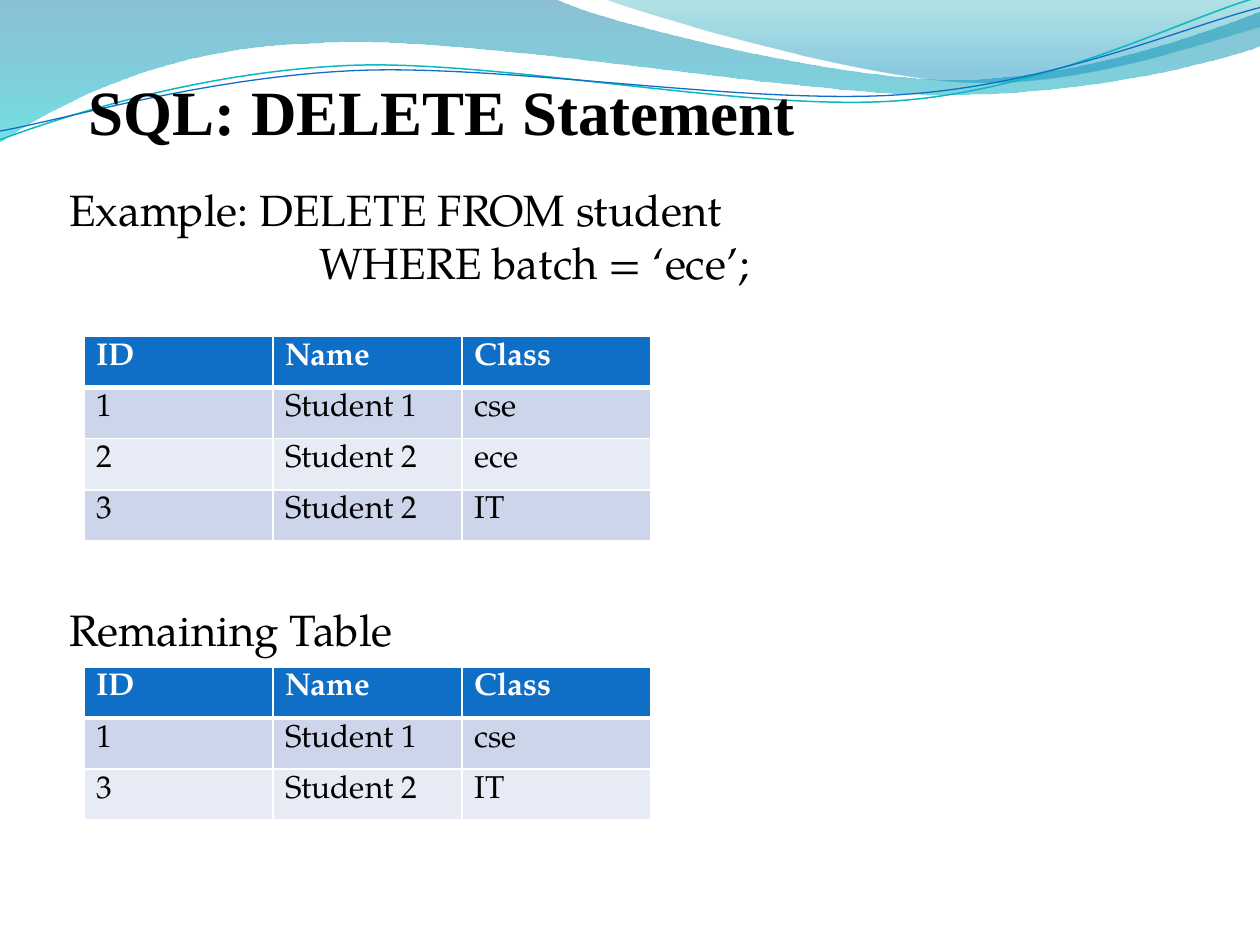
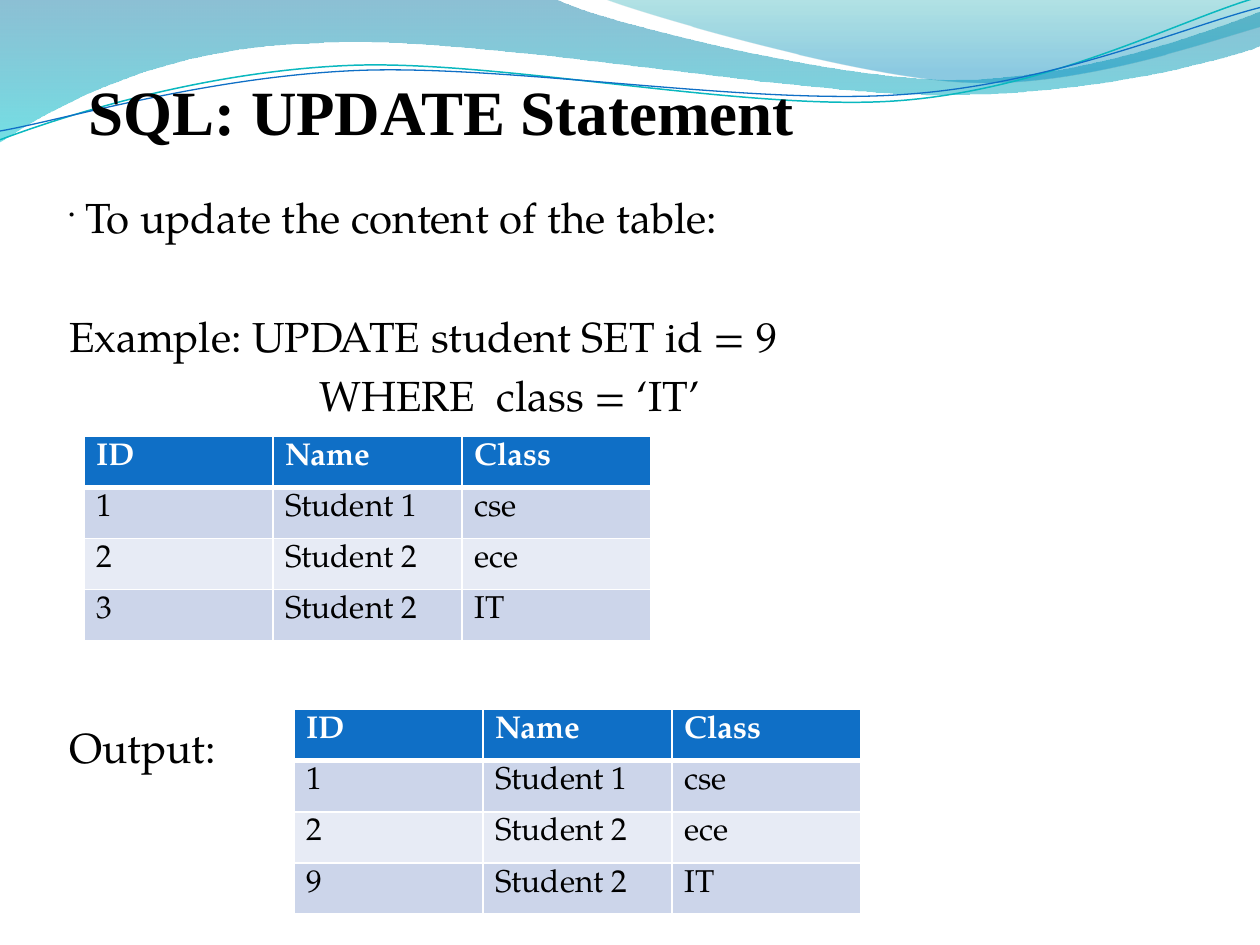
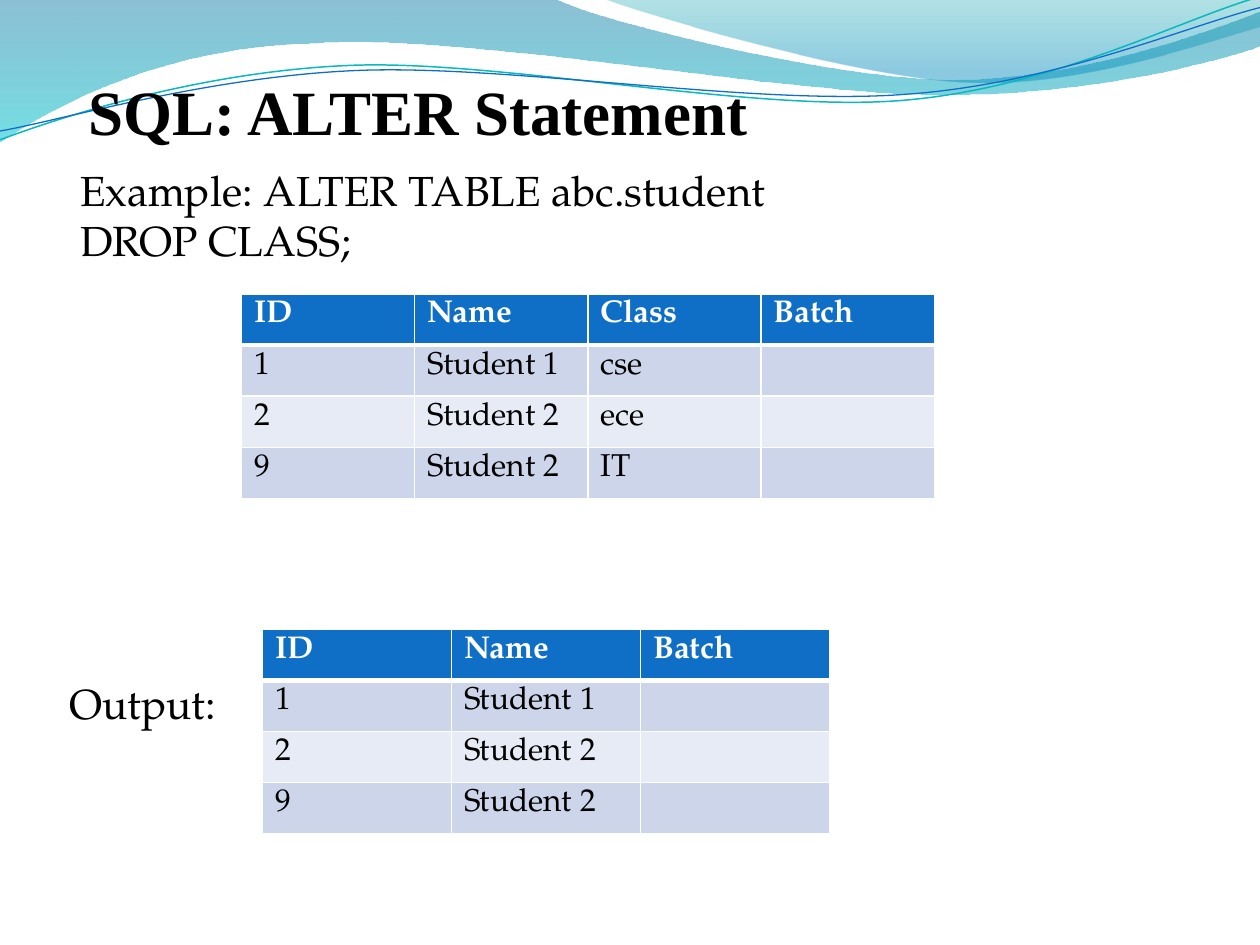
import pptx
import pptx.dml.color
import pptx.enum.text
import pptx.oxml
import pptx.oxml.ns
import pptx.util

Pt = pptx.util.Pt
qn = pptx.oxml.ns.qn
NS = pptx.oxml.ns.nsdecls("a")

COLORS = {
    "text": "000000", "white": "FFFFFF", "header": "0F6FC6",
    "odd": "CCD5EA", "even": "E7EBF5", "teal_line": "0AB8BF",
    "deep_blue": "0074A1", "cyan": "00C6CF", "teal": "00A1A9", "blue": "008BBF",
}
TITLE_FONT, BODY_FONT = "Times New Roman", "TeX Gyre Pagella"
ROW_HEIGHT = 29.2
CODE_INDENT = 143

# Wave outlines in inches: a two-value step is a line, a six-value step a Bézier curve.
LEFT_WAVE = [(0, 0), (4.4, -0.01), (4.76, 0.17, 6.64, 0.63, 7.58, 0.63),
             (8.53, 0.63, 9.58, 0.26, 10, 0.09), (10.01, 0.36),
             (9.83, 0.44, 8.7, 0.76, 7.46, 0.75), (6.22, 0.75, 3.82, 0.28, 2.57, 0.34),
             (1.29, 0.36, 0.46, 0.83, -0.01, 1.13)]
RIGHT_WAVE = [(4.79, -0.01), (5.09, 0.11, 6.82, 0.62, 7.69, 0.65),
              (8.56, 0.69, 9.61, 0.32, 10, 0.21), (10, 0)]
TEAL_CURVE = [(0, 1.11), (0.48, 0.93, 1.58, 0.57, 2.77, 0.52),
              (3.95, 0.47, 5.93, 0.89, 7.13, 0.8), (8.33, 0.71, 9.38, 0.15, 9.98, -0.02)]
BLUE_CURVE = [(0, 1.04), (0.47, 0.96, 1.64, 0.61, 2.83, 0.56),
              (4.03, 0.51, 5.97, 0.84, 7.17, 0.75), (8.36, 0.67, 9.41, 0.21, 10, 0.06)]


def rgb(name):
    return pptx.dml.color.RGBColor.from_string(COLORS[name])


class Deck:
    def __init__(self):
        self.prs = pptx.Presentation()
        self.prs.slide_width, self.prs.slide_height = Pt(720), Pt(540)
        self.layout = self.prs.slide_layouts[5]
        self.s = None

    def slide(self, title, width=479.5, height=52):
        self.s = self.prs.slides.add_slide(self.layout)
        sp = self.s.shapes.title
        sp.left, sp.top, sp.width, sp.height = Pt(44), Pt(31), Pt(width), Pt(height)
        p = self.frame(sp).paragraphs[0]
        p.alignment = pptx.enum.text.PP_ALIGN.LEFT
        p.line_spacing = 1.17
        self.run(p, title, 36, font=TITLE_FONT, bold=True)

    def frame(self, sp):
        tf = sp.text_frame
        tf.word_wrap = True
        tf.auto_size = pptx.enum.text.MSO_AUTO_SIZE.NONE
        tf.vertical_anchor = pptx.enum.text.MSO_ANCHOR.TOP
        tf.margin_left = tf.margin_right = Pt(6.5)
        tf.margin_top = tf.margin_bottom = Pt(3.2)
        return tf

    def run(self, p, text, size, color="text", font=BODY_FONT, bold=False):
        r = p.add_run()
        r.text = text
        r.font.name, r.font.size, r.font.bold = font, Pt(size), bold
        r.font.color.rgb = rgb(color)

    def body(self, y, w, h, lines, size=24, spacing=1.0):
        """Each line is (text, left indent, space before, bulleted)."""
        tf = self.frame(self.s.shapes.add_textbox(Pt(33), Pt(y), Pt(w), Pt(h)))
        for i, (text, indent, before, bulleted) in enumerate(lines):
            p = tf.add_paragraph() if i else tf.paragraphs[0]
            pPr = p._p.get_or_add_pPr()
            pPr.set("marL", str(Pt(indent)))
            if bulleted:
                pPr.set("indent", str(-Pt(indent)))
                pPr.append(pptx.oxml.parse_xml(f'<a:buSzPct {NS} val="37000"/>'))
                pPr.append(pptx.oxml.parse_xml(f'<a:buChar {NS} char="•"/>'))
            p.line_spacing = spacing
            if before:
                p.space_before = Pt(before)
            self.run(p, text, size)

    def table(self, x, y, rows, col_width=108):
        n_rows, n_cols = len(rows), len(rows[0])
        tbl = self.s.shapes.add_table(n_rows, n_cols, Pt(x), Pt(y), Pt(col_width * n_cols),
                                      Pt(ROW_HEIGHT * n_rows)).table
        for col in tbl.columns:
            col.width = Pt(col_width)
        for i, row in enumerate(rows):
            tbl.rows[i].height = Pt(ROW_HEIGHT)
            fill = "header" if i == 0 else "odd" if i % 2 else "even"
            for j, value in enumerate(row):
                cell = tbl.cell(i, j)
                cell.fill.solid()
                cell.fill.fore_color.rgb = rgb(fill)
                self.borders(cell, top=3 if i == 1 else 1, bottom=1 if i else 3)
                if value:
                    self.run(cell.text_frame.paragraphs[0], value, 18,
                             "text" if i else "white", bold=i == 0)

    def borders(self, cell, top, bottom):
        tcPr = cell._tc.get_or_add_tcPr()
        for i, (side, width) in enumerate(zip("LRTB", (1, 1, top, bottom))):
            tcPr.insert(i, pptx.oxml.parse_xml(
                f'<a:ln{side} {NS} w="{Pt(width)}"><a:solidFill>'
                f'<a:srgbClr val="{COLORS["white"]}"/></a:solidFill></a:ln{side}>'))

    def outline(self, steps, close):
        """Build a freeform through all points, then join the curve steps into Béziers."""
        pts = [(Pt(step[i] * 72), Pt(step[i + 1] * 72))
               for step in steps for i in range(0, len(step), 2)]
        fb = self.s.shapes.build_freeform(*pts[0])
        fb.add_line_segments(pts[1:], close=close)
        sp = fb.convert_to_shape()
        sp.shadow.inherit = False
        segments = iter(list(sp.element.iter(qn("a:lnTo"))))
        for step in steps[1:]:
            segment = next(segments)
            if len(step) == 6:
                bezier = pptx.oxml.parse_xml(f"<a:cubicBezTo {NS}/>")
                segment.addprevious(bezier)
                for part in (segment, next(segments), next(segments)):
                    bezier.append(part[0])
                    part.getparent().remove(part)
        return sp

    def wave(self, steps, stops):
        """Each stop is (position, colour, opacity in percent)."""
        sp = self.outline(steps, True)
        sp.line.fill.background()
        sp.fill.gradient()
        sp.fill.gradient_angle = 270
        for stop, (position, color, _) in zip(sp.fill.gradient_stops, stops):
            stop.position = position
            stop.color.rgb = rgb(color)
        for clr, (_, _, opacity) in zip(sp.element.spPr.iter(qn("a:srgbClr")), stops):
            clr.append(pptx.oxml.parse_xml(f'<a:alpha {NS} val="{opacity * 1000}"/>'))
        return sp

    def curve(self, steps, color, width):
        sp = self.outline(steps, False)
        sp.fill.background()
        sp.line.color.rgb = rgb(color)
        sp.line.width = Pt(width)
        return sp

    def banner(self):
        """Draw the waves on the current slide, then move them to the shared layout."""
        shapes = [
            self.wave(LEFT_WAVE, [(0, "deep_blue", 45), (1, "cyan", 55)]),
            self.wave(RIGHT_WAVE, [(0, "teal", 30), (0.8, "blue", 45)]),
            self.curve(TEAL_CURVE, "teal_line", 0.85),
            self.curve(BLUE_CURVE, "header", 0.75),
        ]
        for i, sp in enumerate(shapes):
            sp.element.nvSpPr.cNvPr.set("id", str(100 + i))
            self.layout.shapes.element.append(sp.element)


def main():
    header = ("ID", "Name", "Class")
    first, second, third = ("1", "Student 1", "cse"), ("2", "Student 2", "ece"), ("3", "Student 2", "IT")
    updated = ("9",) + third[1:]
    deck = Deck()

    deck.slide("SQL: DELETE Statement", width=463, height=43)
    deck.banner()
    deck.body(101.5, 654, 310.5, [
        ("Example: DELETE FROM student", 0, 0, False),
        ("WHERE batch = ‘ece’;", CODE_INDENT, 0, False),
        ("Remaining Table", 0, 180, False)], size=25)
    deck.table(48, 192.3, [header, first, second, third])
    deck.table(48, 381, [header, first, third])

    deck.slide("SQL: UPDATE Statement")
    deck.body(101.5, 669.5, 217.5, [
        ("To update the content of the table:", 9.3, 0, True),
        ("Example: UPDATE student SET id = 9", 0, 34, False),
        ("WHERE  class = ‘IT’", CODE_INDENT, 0, False),
        ("Output:", 0, 167.5, False)], spacing=1.17)
    deck.table(48, 249.4, [header, first, second, third])
    deck.table(168, 405.5, [header, first, second, updated])

    deck.slide("SQL: ALTER Statement")
    deck.body(90.7, 669.5, 239, [
        ("Example: ALTER TABLE abc.student", 6.4, 0, False),
        ("DROP CLASS;", 6.4, 0, False),
        ("Output:", 0, 235.7, False)])
    before = [header + ("Batch",)] + [row + ("",) for row in (first, second, updated)]
    deck.table(138, 168, before, col_width=99)
    deck.table(150, 359.5, [row[:2] + row[3:] for row in before])

    deck.prs.save("out.pptx")


if __name__ == "__main__":
    main()
